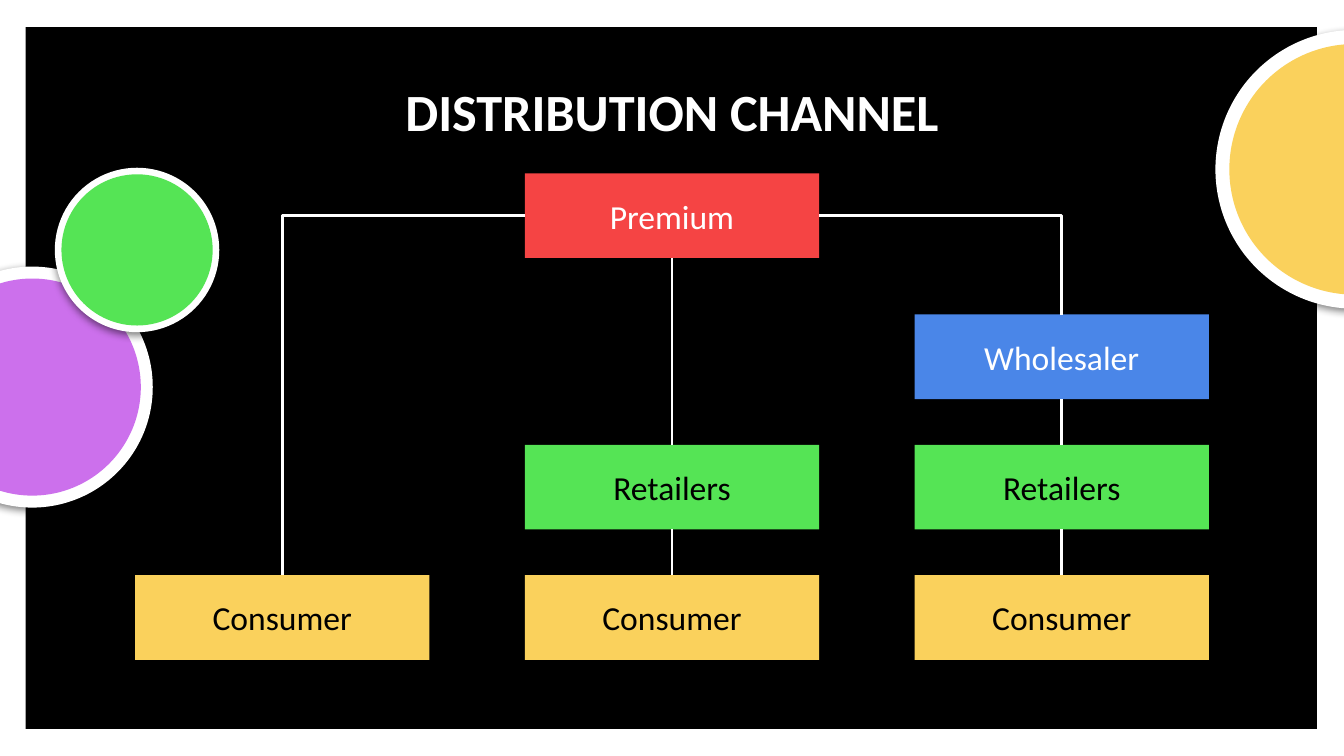
"""Build the distribution channel slide."""
from pptx import Presentation
from pptx.dml.color import RGBColor
from pptx.enum.shapes import MSO_CONNECTOR, MSO_SHAPE
from pptx.enum.text import MSO_ANCHOR, PP_ALIGN
from pptx.oxml import parse_xml
from pptx.oxml.ns import nsdecls, qn
from pptx.util import Inches, Pt

RECTANGLE, OVAL = MSO_SHAPE.RECTANGLE, MSO_SHAPE.OVAL
STRAIGHT, ELBOW = MSO_CONNECTOR.STRAIGHT, MSO_CONNECTOR.ELBOW
CENTER = PP_ALIGN.CENTER
TOP, MIDDLE = MSO_ANCHOR.TOP, MSO_ANCHOR.MIDDLE
BLACK, WHITE = RGBColor(0, 0, 0), RGBColor(255, 255, 255)
RED, BLUE = RGBColor(0xF5, 0x44, 0x44), RGBColor(0x4A, 0x86, 0xE8)
GREEN, YELLOW = RGBColor(0x55, 0xE4, 0x55), RGBColor(0xFA, 0xD1, 0x5C)
PURPLE = RGBColor(0xCC, 0x70, 0xEC)
SIDE_TOP, SIDE_LEFT, SIDE_BOTTOM, SIDE_RIGHT = range(4)

WIDTH = 10
HEIGHT = WIDTH * 9 / 16
BAND, SIDE_BAND = 0.2, 0.19
BOX_WIDTH, BOX_HEIGHT = 2.19, 0.63
COLUMN_CENTER, COLUMN_STEP = 5, 2.9
PREMIUM_TOP, CONSUMER_TOP, ROW_STEP = 1.29, 4.28, 0.97

TITLE = "DISTRIBUTION CHANNEL"
SOURCE = ("Premium", RED, WHITE)
WHOLESALER = ("Wholesaler", BLUE, WHITE)
RETAILERS = ("Retailers", GREEN, BLACK)
CONSUMER = ("Consumer", YELLOW, BLACK)
CHANNELS = [
    (-1, SIDE_LEFT, [CONSUMER]),
    (0, SIDE_BOTTOM, [RETAILERS, CONSUMER]),
    (1, SIDE_RIGHT, [WHOLESALER, RETAILERS, CONSUMER]),
]
CIRCLES = [
    (0.24, 2.88, 1.71, 1.49, PURPLE),
    (10.08, 1.26, 1.99, 1.74, YELLOW),
    (1.02, 1.86, 1.14, 1, GREEN),
]


def add_filled(shapes, kind, left, top, width, height, color, line=None):
    shape = shapes.add_shape(
        kind, Inches(left), Inches(top), Inches(width), Inches(height))
    shape.shadow.inherit = False
    shape.fill.solid()
    shape.fill.fore_color.rgb = color
    if line:
        shape.line.color.rgb = color
        shape.line.width = Pt(line)
    else:
        shape.line.fill.background()
    return shape


def write(shape, text, *, size, color, bold=False, anchor=MIDDLE):
    frame = shape.text_frame
    frame.word_wrap = True
    frame.vertical_anchor = anchor
    frame.margin_left = frame.margin_right = Inches(0.1)
    frame.margin_top = frame.margin_bottom = Inches(0.1)
    para = frame.paragraphs[0]
    para.alignment = CENTER
    span = para.add_run()
    span.text = text
    span.font.name = "Calibri"
    span.font.size = Pt(size)
    span.font.bold = bold
    span.font.color.rgb = color


def add_box(page, column, top, label):
    text, fill, color = label
    left = COLUMN_CENTER + column * COLUMN_STEP - BOX_WIDTH / 2
    box = add_filled(page.shapes, RECTANGLE, left, top,
                     BOX_WIDTH, BOX_HEIGHT, fill)
    write(box, text, size=18, color=color)
    return box


def join(page, upper, side, lower):
    kind = STRAIGHT if side == SIDE_BOTTOM else ELBOW
    link = page.shapes.add_connector(kind, 0, 0, 0, 0)
    link.begin_connect(upper, side)
    link.end_connect(lower, SIDE_TOP)
    link.line.color.rgb = WHITE
    link.line.width = Pt(1.5)
    properties = link._element.spPr
    if kind == ELBOW:
        properties.find(qn("a:prstGeom")).set("prst", "bentConnector2")
    properties.append(parse_xml(f"<a:effectLst {nsdecls('a')}/>"))


def add_circle(page, center_x, center_y, outer, inner, color):
    group = page.shapes.add_group_shape()
    rim, disc = [
        add_filled(group.shapes, OVAL, center_x - size / 2,
                   center_y - size / 2, size, size, fill, line)
        for size, fill, line in [(outer, WHITE, 6), (inner, color, 9)]
    ]
    effects = rim._element.spPr.find(qn("a:effectLst"))
    effects.append(parse_xml(
        f'<a:outerShdw {nsdecls("a")} blurRad="{Pt(4.5)}" dist="{Pt(1.5)}" '
        'dir="5400000" algn="bl" rotWithShape="0"><a:srgbClr val="000000">'
        '<a:alpha val="50000"/></a:srgbClr></a:outerShdw>'))


def main():
    deck = Presentation()
    deck.slide_width, deck.slide_height = Inches(WIDTH), Inches(HEIGHT)
    page = deck.slides.add_slide(deck.slide_layouts[6])
    page.background.fill.solid()
    page.background.fill.fore_color.rgb = BLACK

    for left, top, width, height in [
        (0, 0, WIDTH, BAND),
        (0, HEIGHT - BAND, WIDTH, BAND),
        (0, 0, SIDE_BAND, HEIGHT),
        (WIDTH - BAND, 0, BAND, HEIGHT),
    ]:
        add_filled(page.shapes, RECTANGLE, left, top, width, height, WHITE)

    title = page.shapes.add_textbox(
        Inches(0.68), Inches(0.49), Inches(8.64), Inches(0.63))
    write(title, TITLE, size=28, color=WHITE, bold=True, anchor=TOP)

    premium = add_box(page, 0, PREMIUM_TOP, SOURCE)
    for column, side, labels in CHANNELS:
        upper = premium
        first_top = CONSUMER_TOP - (len(labels) - 1) * ROW_STEP
        for row, label in enumerate(labels):
            lower = add_box(page, column, first_top + row * ROW_STEP, label)
            join(page, upper, side if row == 0 else SIDE_BOTTOM, lower)
            upper = lower

    for circle in CIRCLES:
        add_circle(page, *circle)
    deck.save("out.pptx")


if __name__ == "__main__":
    main()
